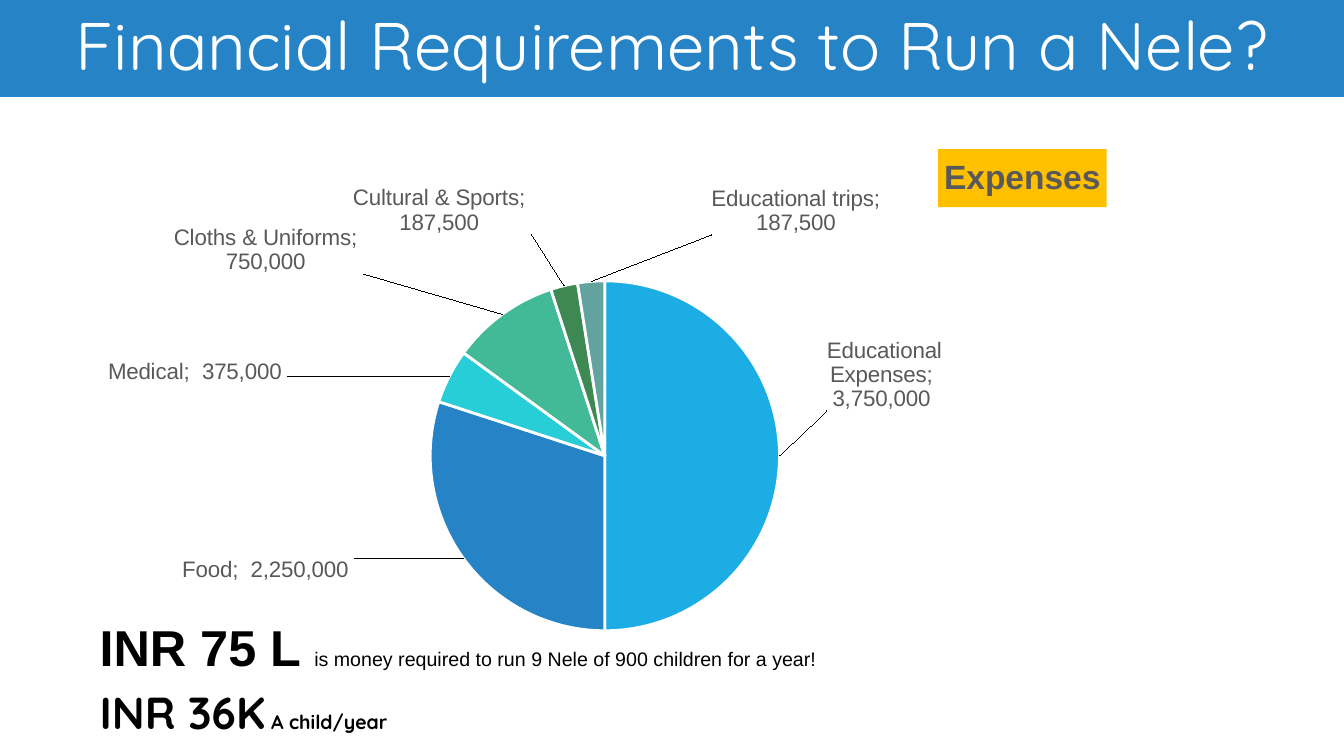
from copy import deepcopy

from pptx import Presentation
from pptx.chart.data import CategoryChartData
from pptx.dml.color import RGBColor
from pptx.enum.chart import XL_CHART_TYPE, XL_LABEL_POSITION
from pptx.enum.shapes import MSO_SHAPE
from pptx.enum.text import MSO_ANCHOR, MSO_AUTO_SIZE, PP_ALIGN
from pptx.oxml import parse_xml
from pptx.oxml.ns import nsdecls, qn
from pptx.util import Cm, Pt


def color(hex_value):
    return RGBColor.from_string(hex_value)


def set_layout(element, index, **values):
    """Give a chart element a manual layout in fractions of the chart size."""
    for layout in element.findall(qn("c:layout")):
        element.remove(layout)
    settings = "".join(f'<c:{name} val="{value}"/>' for name, value in values.items())
    element.insert(index, parse_xml(
        f'<c:layout {nsdecls("c")}><c:manualLayout>{settings}</c:manualLayout></c:layout>'))


# category, value, slice color, label shift from its default place
EXPENSES = [
    ("Educational Expenses", 3750000, "1CADE4", (0.04, -0.16)),
    ("Food", 2250000, "2683C6", (-0.1, -0.01)),
    ("Medical", 375000, "27CED7", (-0.15, 0.02)),
    ("Cloths & Uniforms", 750000, "42BA97", (-0.13, -0.07)),
    ("Cultural & Sports", 187500, "3E8853", (-0.03, -0.09)),
    ("Educational trips", 187500, "62A39F", (0.2, -0.08)),
]

presentation = Presentation()
presentation.slide_width = Cm(33.87)
presentation.slide_height = Cm(19.05)
slide = presentation.slides.add_slide(presentation.slide_layouts[6])

# Title band
band = slide.shapes.add_shape(MSO_SHAPE.RECTANGLE, 0, 0, presentation.slide_width, Cm(2.44))
band.shadow.inherit = False
band.fill.solid()
band.fill.fore_color.rgb = color("2683C6")
band.line.fill.background()
band.text_frame.vertical_anchor = MSO_ANCHOR.MIDDLE
paragraph = band.text_frame.paragraphs[0]
paragraph.text = "Financial Requirements to Run a Nele?"
paragraph.alignment = PP_ALIGN.CENTER
paragraph.line_spacing = 0.9
paragraph.font.name = "Quicksand"
paragraph.font.size = Pt(48)
paragraph.font.color.rgb = color("FFFFFF")

# Pie chart
chart_data = CategoryChartData()
chart_data.categories = [expense[0] for expense in EXPENSES]
chart_data.add_series("Series 1", [expense[1] for expense in EXPENSES])
chart = slide.shapes.add_chart(
    XL_CHART_TYPE.PIE, Cm(1.6), Cm(3.5), Cm(26.29), Cm(12.78), chart_data).chart
chart.has_legend = False
chart.font.name = "Arial"
chart.font.size = Pt(16)
chart.font.color.rgb = color("000000")
set_layout(chart.plots[0]._element.getparent(), 0, layoutTarget="inner",
           xMode="edge", yMode="edge", x=0.35, y=0.28, w=0.34, h=0.69)

chart.has_title = True
title = chart.chart_title
title.include_in_layout = False
title.format.fill.solid()
title.format.fill.fore_color.rgb = color("FFC000")
paragraph = title.text_frame.paragraphs[0]
paragraph.text = "Expenses"
paragraph.font.name = "Arial"
paragraph.font.size = Pt(24)
paragraph.font.bold = True
paragraph.font.color.rgb = color("595959")
set_layout(title._element, 1, xMode="edge", yMode="edge", x=0.84, y=0.02)

chart.plots[0].vary_by_categories = True
series = chart.plots[0].series[0]
labels = series.data_labels
labels.show_value = True
labels.show_category_name = True
labels.show_percentage = False
labels.show_legend_key = False
labels.number_format = r'_(* #,##0_);_(* \(#,##0\);_(* "-"??_);_('
labels.number_format_is_linked = False
labels.position = XL_LABEL_POSITION.OUTSIDE_END
labels.font.name = "Arial"
labels.font.size = Pt(16)
labels.font.color.rgb = color("595959")

for index, (category, value, fill, (shift_x, shift_y)) in enumerate(EXPENSES):
    slice_format = series.points[index].format
    slice_format.fill.solid()
    slice_format.fill.fore_color.rgb = color(fill)
    slice_format.line.color.rgb = color("FFFFFF")
    slice_format.line.width = Pt(2)

    label = parse_xml(
        f'<c:dLbl {nsdecls("c")}><c:idx val="{index}"/><c:dLblPos val="outEnd"/>'
        '<c:showLegendKey val="0"/><c:showVal val="1"/><c:showCatName val="1"/>'
        '<c:showSerName val="0"/><c:showPercent val="0"/><c:showBubbleSize val="0"/>'
        '<c:separator>; </c:separator></c:dLbl>')
    for offset, tag in enumerate(("c:numFmt", "c:txPr")):
        label.insert(1 + offset, deepcopy(labels._element.find(qn(tag))))
    set_layout(label, 1, x=shift_x, y=shift_y)
    labels._element.insert(index, label)

# Totals
totals = slide.shapes.add_textbox(Cm(2.26), Cm(15.39), Cm(18.69), Cm(3.38)).text_frame
totals.word_wrap = False
totals.auto_size = MSO_AUTO_SIZE.SHAPE_TO_FIT_TEXT
TOTALS = [
    ("Arial", [("INR 75 L ", 36, True),
               ("is money required to run 9 Nele of 900 children for a year!", 14, False)]),
    ("Quicksand", [("INR 36K", 32, True), (" A child/year", 14, True)]),
]
for index, (font_name, runs) in enumerate(TOTALS):
    paragraph = totals.paragraphs[0] if index == 0 else totals.add_paragraph()
    paragraph.space_after = Pt(6)
    for text, size, bold in runs:
        run = paragraph.add_run()
        run.text = text
        run.font.name = font_name
        run.font.size = Pt(size)
        run.font.bold = bold
        run.font.color.rgb = color("000000")

presentation.save("out.pptx")
